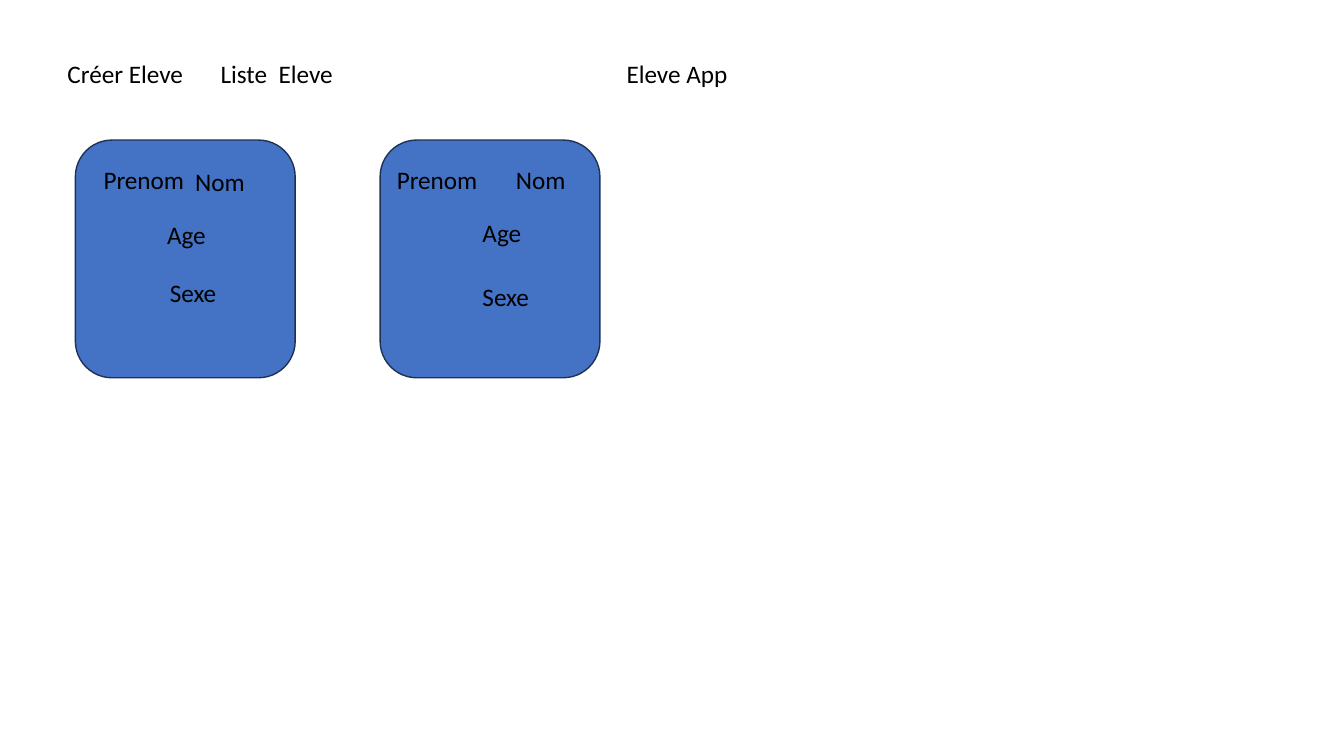
"""Build the Eleve App mock-up slide with its menu and two pupil cards."""
from pptx import Presentation
from pptx import util as u
from pptx.dml.color import RGBColor
from pptx.enum import shapes, text

MENU = [("Créer Eleve", 1.45), ("Liste  Eleve", 5.31), ("Eleve App", 15.54)]
MENU_TOP = 1.35

FIELDS = ["Prenom", "Nom", "Age", "Sexe"]
CARDS = [
    {"left": 1.9, "offsets": [(0.46, 0.48), (2.77, 0.53), (2.06, 1.88), (2.13, 3.33)]},
    {"left": 9.58, "offsets": [(0.17, 0.48), (3.17, 0.48), (2.33, 1.83), (2.33, 3.43)]},
]
CARD_TOP = 3.53
CARD_SIZE = (5.54, 5.99)
LABEL_SIZE = (3.63, 1.02)

THEME = {
    "card_fill": RGBColor.from_string("4472C4"),
    "card_line": RGBColor.from_string("1E3256"),
    "line_width": u.Pt(1),
    "ink": RGBColor.from_string("000000"),
    "font": {"name": "Calibri", "size": u.Pt(18)},
    "frame": {"word_wrap": True, "auto_size": text.MSO_AUTO_SIZE.SHAPE_TO_FIT_TEXT},
}


def apply(target, values):
    """Set each attribute of target from a dict."""
    for name, value in values.items():
        setattr(target, name, value)


def box(left, top, size):
    """Return position and size as lengths."""
    return [u.Cm(value) for value in (left, top, *size)]


def add_card(slide, left):
    """Draw one rounded pupil card."""
    shape = slide.shapes.add_shape(
        shapes.MSO_SHAPE.ROUNDED_RECTANGLE, *box(left, CARD_TOP, CARD_SIZE))
    shape.shadow.inherit = False
    shape.fill.solid()
    shape.fill.fore_color.rgb = THEME["card_fill"]
    shape.line.color.rgb = THEME["card_line"]
    shape.line.width = THEME["line_width"]


def add_label(slide, words, left, top):
    """Place one line of text."""
    frame = slide.shapes.add_textbox(*box(left, top, LABEL_SIZE)).text_frame
    apply(frame, THEME["frame"])
    run = frame.paragraphs[0].add_run()
    run.text = words
    apply(run.font, THEME["font"])
    run.font.color.rgb = THEME["ink"]


presentation = Presentation()
apply(presentation, {"slide_width": u.Cm(33.87), "slide_height": u.Cm(19.05)})
slide = presentation.slides.add_slide(presentation.slide_layouts[6])

for words, left in MENU:
    add_label(slide, words, left, MENU_TOP)

for card in CARDS:
    add_card(slide, card["left"])
    for field, (across, down) in zip(FIELDS, card["offsets"]):
        add_label(slide, field, card["left"] + across, CARD_TOP + down)

presentation.save("out.pptx")
